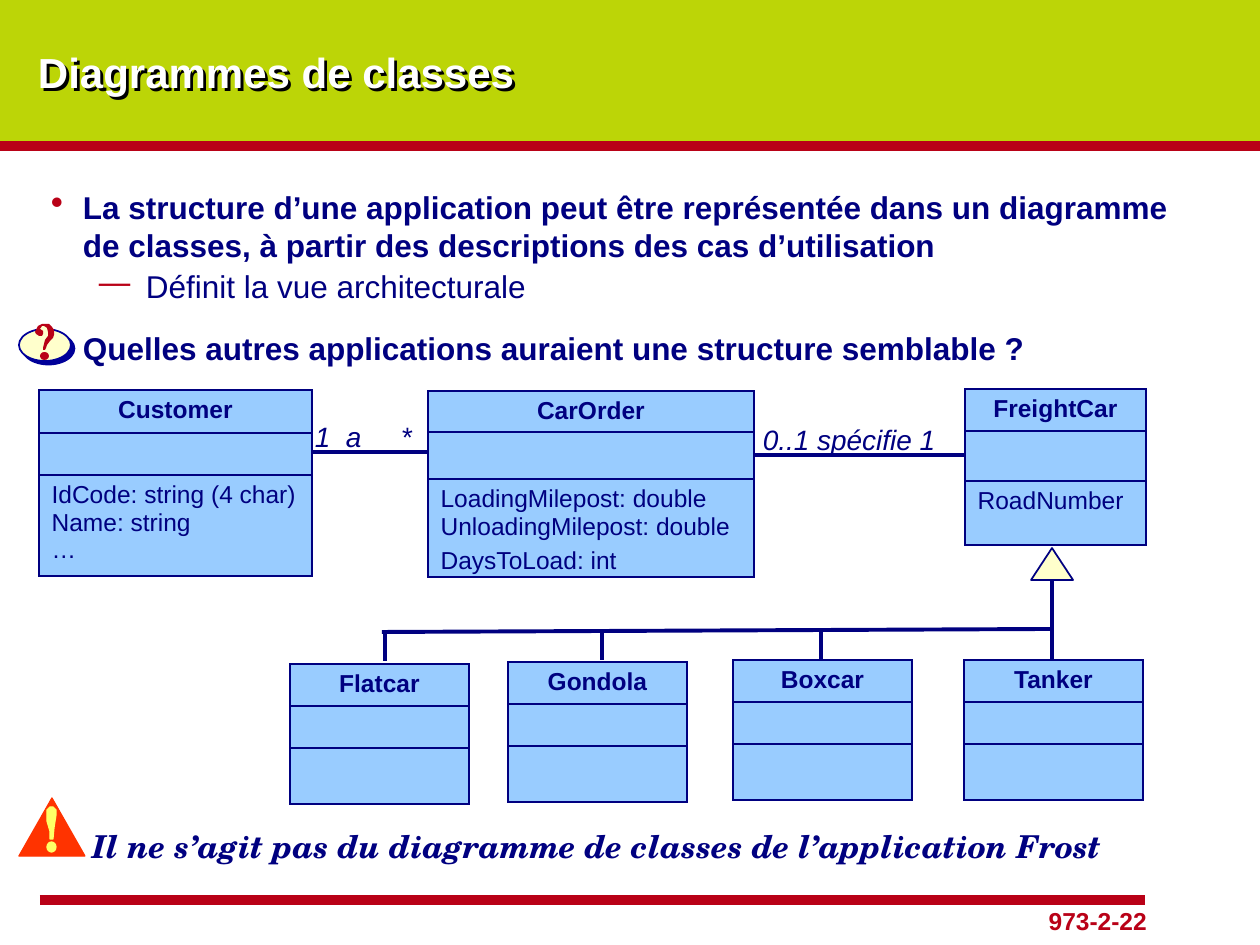
from lxml.etree import SubElement
from pptx import Presentation
from pptx.dml.color import RGBColor
from pptx.enum.shapes import MSO_CONNECTOR, MSO_SHAPE
from pptx.enum.text import MSO_ANCHOR, PP_ALIGN
from pptx.oxml.ns import qn
from pptx.util import Emu, Pt

SCALE = 914400 / 126
COLORS = {
    "lime": "BCD507", "white": "FFFFFF", "black": "000000", "red": "B90117",
    "navy": "000080", "ink": "000099", "sky": "99CCFF", "cream": "FFFFCC",
    "orange": "FF3300", "yellow": "FFFF66",
}
EXCLAMATION = [(6, 32), (3, 32), (3, 24), (0, 14), (0, 3), (3, 0),
               (6, 0), (9, 3), (9, 8), (7, 21)]
QUESTION = [(10, 26), (8, 26), (8, 24), (9, 20), (10, 16), (13, 12), (13, 8),
            (12, 4), (9, 2), (7, 2), (5, 5), (8, 7), (8, 10), (7, 12), (4, 12),
            (1, 10), (0, 8), (3, 2), (7, 0), (14, 0), (17, 3), (19, 6),
            (19, 11), (18, 14), (15, 17), (12, 21), (11, 24)]


def px(length):
    return Emu(round(length * SCALE))


def rgb(color):
    return RGBColor.from_string(COLORS[color])


def add_shadow(shape, color, distance):
    """Cast a hard shadow towards the lower right."""
    shape.shadow.inherit = False
    effects = shape._element.spPr.find(qn("a:effectLst"))
    outer = SubElement(effects, qn("a:outerShdw"), blurRad="0",
                       dist=str(px(distance)), dir="2700000", algn="ctr", rotWithShape="0")
    SubElement(outer, qn("a:srgbClr"), val=COLORS[color])


def add_bullet(paragraph, mark, percent):
    properties = paragraph._p.get_or_add_pPr()
    SubElement(SubElement(properties, qn("a:buClr")), qn("a:srgbClr"), val=COLORS["red"])
    SubElement(properties, qn("a:buSzPct"), val=str(percent * 1000))
    SubElement(properties, qn("a:buChar"), char=mark)


def write(paragraph, content, size=18, color="navy", bold=False, italic=False, font="Arial",
          align=PP_ALIGN.LEFT, before=0, spacing=None, indent=(0, 0), bullet=None):
    """Fill one paragraph; indent is (margin, first line) in px."""
    paragraph.alignment, paragraph.space_before = align, Pt(before)
    if spacing:
        paragraph.line_spacing = spacing
    properties = paragraph._p.get_or_add_pPr()
    properties.set("marL", str(px(indent[0])))
    properties.set("indent", str(px(indent[1])))
    if bullet:
        add_bullet(paragraph, *bullet)
    run = paragraph.add_run()
    run.text = content
    run.font.name, run.font.size = font, Pt(size)
    run.font.bold, run.font.italic = bold, italic
    run.font.color.rgb = rgb(color)


def add_text_area(slide, box, anchor=MSO_ANCHOR.MIDDLE):
    area = slide.shapes.add_textbox(*map(px, box))
    frame = area.text_frame
    frame.word_wrap, frame.vertical_anchor = True, anchor
    frame.margin_left = frame.margin_right = frame.margin_top = frame.margin_bottom = 0
    return area


def add_label(slide, box, content, **style):
    area = add_text_area(slide, box)
    write(area.text_frame.paragraphs[0], content, **style)
    return area


def paint(shape, fill, line=None, width=1):
    shape.shadow.inherit = False
    shape.fill.solid()
    shape.fill.fore_color.rgb = rgb(fill)
    if line:
        shape.line.color.rgb, shape.line.width = rgb(line), Pt(width)
    else:
        shape.line.fill.background()
    return shape


def add_form(slide, kind, box, fill, line=None, width=1):
    return paint(slide.shapes.add_shape(kind, *map(px, box)), fill, line, width)


def add_outline(slide, left, top, points, fill, line=None):
    builder = slide.shapes.build_freeform(*points[0], scale=SCALE)
    builder.add_line_segments(points[1:], close=True)
    return paint(builder.convert_to_shape(px(left), px(top)), fill, line, 0.75)


def add_line(slide, x1, y1, x2, y2, color="navy", width=2.25):
    line = slide.shapes.add_connector(MSO_CONNECTOR.STRAIGHT, *map(px, (x1, y1, x2, y2)))
    line.line.color.rgb, line.line.width = rgb(color), Pt(width)
    SubElement(line._element.spPr, qn("a:effectLst"))


def add_borders(cell):
    properties = cell._tc.get_or_add_tcPr()
    for position, side in enumerate(("lnL", "lnR", "lnT", "lnB")):
        edge = properties.makeelement(qn(f"a:{side}"), {"w": str(Pt(1))})
        properties.insert(position, edge)
        SubElement(SubElement(edge, qn("a:solidFill")), qn("a:srgbClr"), val=COLORS["navy"])


def add_class(slide, left, top, width, name, heights=(42, 42, 56), attributes=()):
    """UML class: name, empty compartment, attributes as (text, format)."""
    table = slide.shapes.add_table(
        3, 1, *map(px, (left, top, width, sum(heights)))).table
    table.first_row = table.horz_banding = False
    for row, height in zip(table.rows, heights):
        row.height = px(height)
        cell = row.cells[0]
        cell.fill.solid()
        cell.fill.fore_color.rgb = rgb("sky")
        cell.margin_bottom = 0
        add_borders(cell)
        cell.text_frame.paragraphs[0].font.size = Pt(14)
    write(table.cell(0, 0).text_frame.paragraphs[0], name, size=14, bold=True,
          align=PP_ALIGN.CENTER)
    frame = table.cell(2, 0).text_frame
    for number, (attribute, style) in enumerate(attributes):
        paragraph = frame.add_paragraph() if number else frame.paragraphs[0]
        write(paragraph, attribute, size=14, **style)


def add_page(slide, width, height):
    slide.background.fill.solid()
    slide.background.fill.fore_color.rgb = rgb("lime")
    add_form(slide, MSO_SHAPE.RECTANGLE, (0, 146, width, height - 146), "white")
    add_line(slide, 0, 146, width, 146, "red", 6)
    add_line(slide, 40, 900, 1145, 900, "red", 6)
    title = add_label(slide, (38, 43, 1060, 58), "Diagrammes de classes",
                      size=24, color="white", bold=True)
    add_shadow(title, "black", 4)
    add_label(slide, (960, 905, 187, 32), "973-2-22", size=14, color="red", bold=True,
              align=PP_ALIGN.RIGHT)


def add_points(slide, box):
    frame = add_text_area(slide, box, MSO_ANCHOR.TOP).text_frame
    write(frame.paragraphs[0], "La structure d’une application peut être représentée dans un "
          "diagramme de classes, à partir des descriptions des cas d’utilisation",
          bold=True, indent=(32, -32), bullet=("•", 115))
    write(frame.add_paragraph(), "Définit la vue architecturale",
          before=2, indent=(95, -47), bullet=("—", 100))
    write(frame.add_paragraph(), "Quelles autres applications auraient une structure semblable ?",
          bold=True, before=14, indent=(32, 0))


def add_question_icon(slide, left, top):
    face = add_form(slide, MSO_SHAPE.OVAL, (left, top + 5, 52, 32), "cream", "ink")
    add_shadow(face, "ink", 5)
    add_form(slide, MSO_SHAPE.OVAL, (left + 19, top + 1, 13, 13), "cream")
    add_outline(slide, left + 16, top, QUESTION, "red")
    add_form(slide, MSO_SHAPE.OVAL, (left + 21, top + 28, 9, 8), "red")


def add_warning_icon(slide, left, top):
    add_form(slide, MSO_SHAPE.ISOSCELES_TRIANGLE, (left, top, 66, 58), "orange", "orange", 0.75)
    add_outline(slide, left + 28, top + 9, EXCLAMATION, "yellow", "yellow")
    add_form(slide, MSO_SHAPE.OVAL, (left + 28, top + 44, 9, 10), "yellow", "yellow", 0.75)


def add_association(slide, left, right, y, labels):
    """Line between two classes, with labels as (offset, width, text) above it."""
    add_line(slide, left, y, right, y)
    for offset, width, content in labels:
        add_label(slide, (left + offset, y - 33, width, 34), content, size=16, italic=True)


def add_inheritance(slide):
    add_line(slide, 1052, 577, 1052, 660)
    add_form(slide, MSO_SHAPE.ISOSCELES_TRIANGLE, (1031, 548, 42, 32), "cream", "navy")
    add_line(slide, 382, 632, 1053, 629)
    for x, top in ((385, 631), (602, 630), (821, 629)):
        add_line(slide, x, top, x, top + 30)
    for name, left, top in (("Flatcar", 290, 664), ("Gondola", 508, 662),
                            ("Boxcar", 733, 660), ("Tanker", 964, 660)):
        add_class(slide, left, top, 179, name)


def main():
    deck = Presentation()
    deck.slide_width, deck.slide_height = px(1260), px(945)
    slide = deck.slides.add_slide(deck.slide_layouts[6])
    add_page(slide, 1260, 945)
    add_points(slide, (51, 188, 1122, 190))
    add_question_icon(slide, 19, 324)
    add_class(slide, 39, 390, 273, "Customer", (43, 42, 101),
              [("IdCode: string (4 char)", {}), ("Name: string", {}), ("…", {})])
    add_class(slide, 428, 391, 326, "CarOrder", (41, 47, 98),
              [("LoadingMilepost: double", {}), ("UnloadingMilepost: double", {}),
               ("DaysToLoad: int", {"before": 14, "spacing": 0.2})])
    add_class(slide, 965, 389, 181, "FreightCar", (42, 50, 64), [("RoadNumber", {})])
    add_association(slide, 313, 428, 452, [(2, 24, "1"), (33, 24, "a"), (88, 24, "*")])
    add_association(slide, 754, 964, 455, [(9, 200, "0..1 spécifie 1")])
    add_inheritance(slide)
    add_warning_icon(slide, 19, 798)
    add_label(slide, (92, 826, 1080, 40),
              "Il ne s’agit pas du diagramme de classes de l’application Frost",
              bold=True, italic=True, font="TeX Gyre Schola")
    deck.save("out.pptx")


if __name__ == "__main__":
    main()
